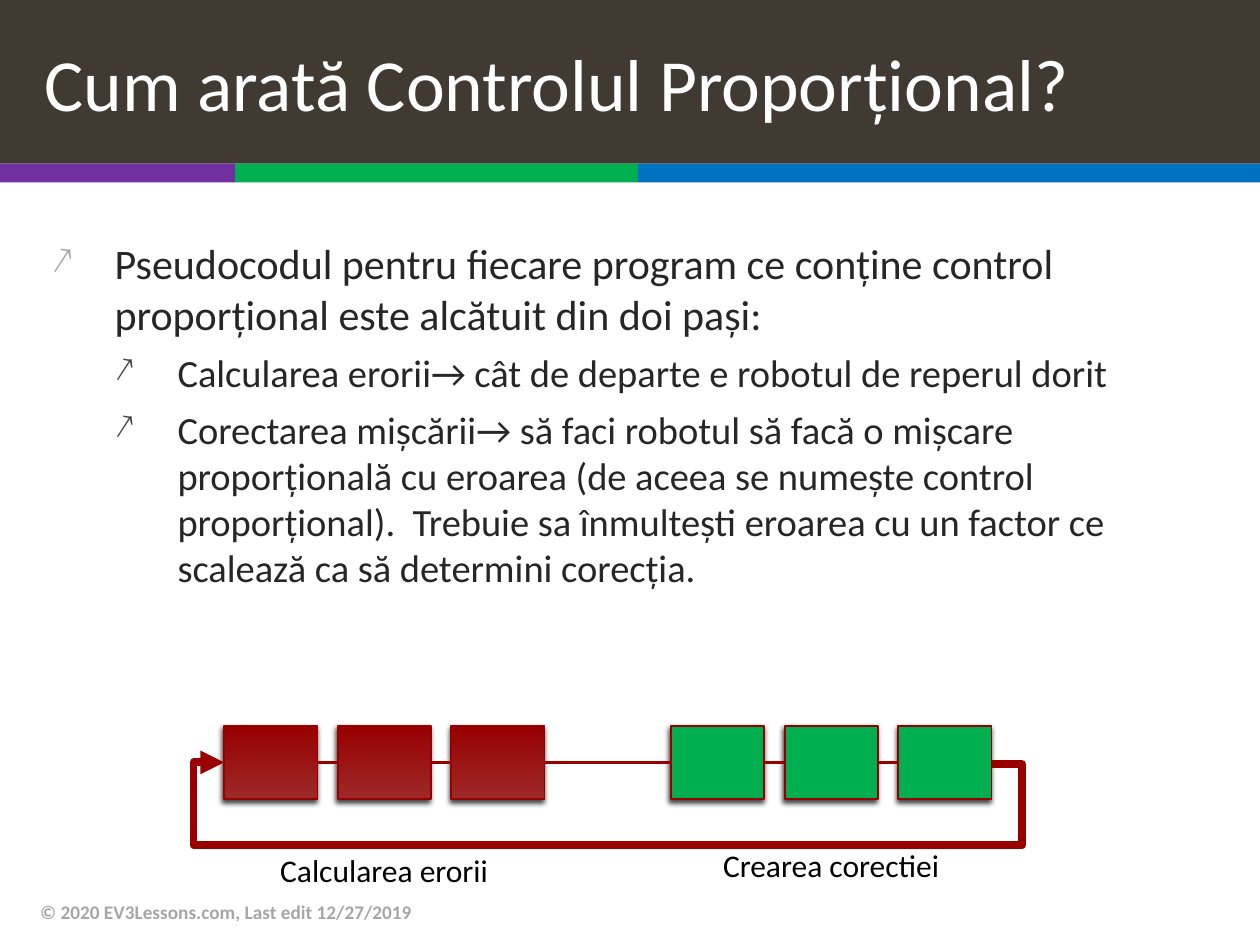
from pptx import Presentation
from pptx.dml.color import RGBColor
from pptx.enum.shapes import MSO_CONNECTOR as Connector, MSO_SHAPE as Shape
from pptx.enum.text import MSO_ANCHOR as Anchor, MSO_AUTO_SIZE as AutoSize, PP_ALIGN as Align
from pptx.oxml import parse_xml
from pptx.oxml.ns import nsdecls, qn
from pptx.util import Cm, Pt


def color(hex_string):
    return RGBColor.from_string(hex_string)


def add_text(paragraph, text, size, hex_color, bold=False):
    run = paragraph.add_run()
    run.text = text
    run.font.name = "Calibri"
    run.font.size = Pt(size)
    run.font.bold = bold
    run.font.color.rgb = color(hex_color)


presentation = Presentation()
presentation.slide_width = Cm(25.4)
presentation.slide_height = Cm(19.05)
slide = presentation.slides.add_slide(presentation.slide_layouts[5])
shapes = slide.shapes

# Title band
title = shapes.title
title.left, title.top, title.width, title.height = Cm(0), Cm(0), Cm(25.4), Cm(3.3)
title.fill.solid()
title.fill.fore_color.rgb = color("413A33")
title.text_frame.auto_size = AutoSize.NONE
title.text_frame.vertical_anchor = Anchor.MIDDLE
paragraph = title.text_frame.paragraphs[0]
paragraph.alignment = Align.LEFT
paragraph._p.get_or_add_pPr().set("marL", str(Cm(0.64)))
add_text(paragraph, "Cum arată Controlul Proporțional?", 42, "FFFFFF")

# Coloured stripe under the title
for left, right, fill in [(0, 4.74, "7030A0"), (4.74, 12.86, "00B050"), (12.86, 25.4, "0070C0")]:
    stripe = shapes.add_shape(Shape.RECTANGLE, Cm(left), Cm(3.3), Cm(right - left), Cm(0.38))
    stripe.shadow.inherit = False
    stripe.fill.solid()
    stripe.fill.fore_color.rgb = color(fill)
    stripe.line.fill.background()

# Bulleted body: level, size, bullet colour, text
bullets = [
    (0, 24, "A6A6A6", "Pseudocodul pentru fiecare program ce conține control proporțional "
                      "este alcătuit din doi pași:"),
    (1, 22, "404040", "Calcularea erorii→ cât de departe e robotul de reperul dorit"),
    (1, 22, "404040", "Corectarea mișcării→ să faci robotul să facă o mișcare proporțională "
                      "cu eroarea (de aceea se numește control proporțional).  Trebuie sa "
                      "înmultești eroarea cu un factor ce scalează ca să determini corecția."),
]
body = shapes.add_textbox(Cm(0.79), Cm(4.67), Cm(23.82), Cm(11.96)).text_frame
body.word_wrap = True
for index, (level, size, bullet_color, text) in enumerate(bullets):
    paragraph = body.add_paragraph() if index else body.paragraphs[0]
    paragraph.level = level
    paragraph.space_before = Pt(6 if index else 0)
    properties = paragraph._p.get_or_add_pPr()
    properties.set("marL", str(Cm(1.27 * (level + 1))))
    properties.set("indent", str(Cm(-1.27)))
    for xml in (f'<a:buClr {nsdecls("a")}><a:srgbClr val="{bullet_color}"/></a:buClr>',
                f'<a:buSzPct {nsdecls("a")} val="90000"/>',
                f'<a:buChar {nsdecls("a")} char="↗"/>'):
        properties.append(parse_xml(xml))
    add_text(paragraph, text, size, "262626")

# Copyright line
footer = shapes.add_textbox(Cm(0.56), Cm(17.88), Cm(17.02), Cm(1.02)).text_frame
footer.word_wrap = True
footer.vertical_anchor = Anchor.MIDDLE
add_text(footer.paragraphs[0], "© 2020 EV3Lessons.com, Last edit 12/27/2019", 11, "A6A6A6", bold=True)

# Two groups of three steps, each with a caption
BOX_WIDTH, BOX_HEIGHT, BOX_TOP, PITCH = 1.88, 1.48, 14.63, 2.29
boxes = []
for group_left, caption, caption_top, is_error in [
    (4.52, "Calcularea erorii", 17.04, True),
    (13.53, "Crearea corectiei", 16.94, False),
]:
    for step in range(3):
        box = shapes.add_shape(Shape.RECTANGLE, Cm(group_left + step * PITCH), Cm(BOX_TOP),
                               Cm(BOX_WIDTH), Cm(BOX_HEIGHT))
        if is_error:
            box.fill.gradient()
            box.fill.gradient_angle = 90
            for stop, stop_color in zip(box.fill.gradient_stops, ("9D2828", "990000")):
                stop.color.rgb = color(stop_color)
        else:
            box.fill.solid()
            box.fill.fore_color.rgb = color("00B050")
        box.line.color.rgb = color("960000")
        box.line.width = Pt(1)
        box.shadow.inherit = False
        box._element.spPr.find(qn("a:effectLst")).append(parse_xml(
            f'<a:outerShdw {nsdecls("a")} blurRad="{Pt(3)}" dist="{Pt(2)}" dir="6600000" '
            'rotWithShape="0"><a:srgbClr val="000000"><a:alpha val="75000"/></a:srgbClr></a:outerShdw>'))
        boxes.append(box)
    label = shapes.add_textbox(Cm(group_left), Cm(caption_top), Cm(6.45), Cm(1.02)).text_frame
    label.word_wrap = True
    label.paragraphs[0].alignment = Align.CENTER
    add_text(label.paragraphs[0], caption, 18, "000000")

# Links between neighbouring steps, then the loop back to the first step
links = [(first, second, Connector.STRAIGHT, 2) for first, second in zip(boxes, boxes[1:])]
links.append((boxes[-1], boxes[0], Connector.ELBOW, 4.5))
for first, second, kind, width in links:
    connector = shapes.add_connector(kind, 0, 0, 0, 0)
    connector.begin_connect(first, 3)
    connector.end_connect(second, 1)
    connector.line.color.rgb = color("990000")
    connector.line.width = Pt(width)
    connector._element.spPr.append(parse_xml(f'<a:effectLst {nsdecls("a")}/>'))

# Route the loop above the boxes; its adjustments are shares of its width and height
loop = connector
loop.height = Cm(0.04)
side_share, rise_share = Cm(0.62) / loop.width, Cm(1.63) / loop.height
geometry = loop._element.spPr.find(qn("a:prstGeom"))
geometry.set("prst", "bentConnector5")
guides = geometry.find(qn("a:avLst"))
for number, share in enumerate((-side_share, -rise_share, 1 + side_share), start=1):
    guides.append(parse_xml(
        f'<a:gd {nsdecls("a")} name="adj{number}" fmla="val {round(share * 100000)}"/>'))
loop.line._get_or_add_ln().append(parse_xml(f'<a:tailEnd {nsdecls("a")} type="triangle"/>'))

presentation.save("out.pptx")
